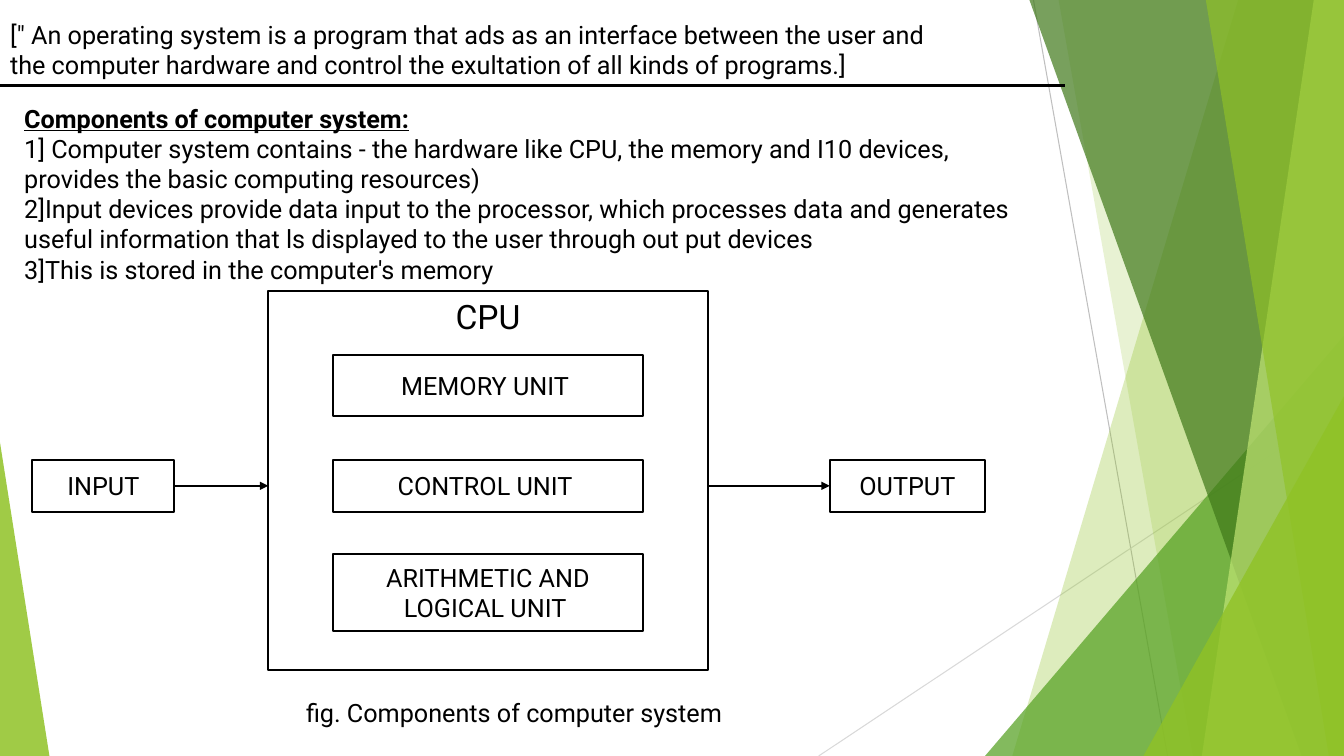
from lxml.etree import SubElement
from pptx import Presentation
from pptx.dml.color import RGBColor
from pptx.enum.shapes import MSO_CONNECTOR as Connector, MSO_SHAPE as Shape
from pptx.enum.text import MSO_ANCHOR as Anchor, MSO_AUTO_SIZE as AutoSize, PP_ALIGN as Align
from pptx.oxml.ns import qn
from pptx.util import Inches, Pt

WIDTH, HEIGHT = 13.33, 7.5
BLACK, WHITE, LIME = "000000", "FFFFFF", "90C226"

# Content
DEFINITION = ['[" An operating system is a program that ads as an interface between the user and '
              'the computer hardware and control the exultation of all kinds of programs.]']
COMPONENTS = [
    "Components of computer system:",
    "1] Computer system contains - the hardware like CPU, the memory and I10 devices, "
    "provides the basic computing resources)",
    "2]Input devices provide data input to the processor, which processes data and generates "
    "useful information that ls displayed to the user through out put devices",
    "3]This is stored in the computer's memory",
]
CAPTION = ["fig. Components of computer system"]
UNITS = [  # text, top, height
    ("MEMORY UNIT ", 3.52, 0.61),
    ("CONTROL UNIT ", 4.56, 0.52),
    ("ARITHMETIC AND LOGICAL UNIT ", 5.5, 0.76),
]
DEVICES = [("INPUT", 0.32, 1.41), ("OUTPUT", 8.23, 1.54)]  # text, left, width
CPU_LEFT, CPU_WIDTH = 2.66, 4.36
UNIT_WIDTH = 3.08
DEVICE_TOP, DEVICE_HEIGHT = 4.56, 0.52

# Decoration: thin lines, then facets with colour, opacity in percent and corners
RAYS = [((10.25, 0), (11.58, HEIGHT), "BFBFBF"), ((WIDTH, 4.03), (8.12, HEIGHT), "D9D9D9")]


def band(top_left, bottom_left):
    """Corners of a facet that fills the page from a slanted edge to the right side."""
    return [(top_left, 0), (WIDTH, 0), (WIDTH, HEIGHT), (bottom_left, HEIGHT)]


def corner(side, top, bottom):
    """Corners of a triangle that stands on the bottom edge against one side."""
    return [(side, top), (side, HEIGHT), (bottom, HEIGHT)]


FACETS = [
    (LIME, 30, band(12.28, 10.04)),
    (LIME, 20, band(10.5, 11.83)),
    ("54A021", 72, corner(WIDTH, 3.33, 9.77)),
    ("3F7819", 70, band(10.21, 12.91)),
    ("C0E474", 70, band(13.03, 11.92)),
    (LIME, 65, band(11.96, 13.18)),
    (LIME, 80, corner(WIDTH, 3.93, 11.34)),
    (LIME, 85, corner(0, 4.39, 0.49)),
]


def colour(value):
    return RGBColor.from_string(value)


def place(box, left, top, width, height):
    box.left, box.top, box.width, box.height = map(Inches, (left, top, width, height))


def add_facet(page, fill, opacity, corners):
    points = [(Inches(x), Inches(y)) for x, y in corners]
    builder = page.shapes.build_freeform(*points[0])
    builder.add_line_segments(points[1:], close=True)
    facet = builder.convert_to_shape()
    facet.shadow.inherit = False
    facet.fill.solid()
    facet.fill.fore_color.rgb = colour(fill)
    facet.line.fill.background()
    shade = facet._element.spPr.find(".//" + qn("a:srgbClr"))
    SubElement(shade, qn("a:alpha"), val=str(opacity * 1000))


def add_line(page, start, end, ink, weight, arrow=False):
    line = page.shapes.add_connector(Connector.STRAIGHT, *map(Inches, start + end))
    line.line.color.rgb = colour(ink)
    line.line.width = Pt(weight)
    if arrow:
        SubElement(line.line._ln, qn("a:tailEnd"), type="triangle")
    SubElement(line._element.spPr, qn("a:effectLst"))


def write(box, lines, size=18, align=Align.LEFT, anchor=Anchor.TOP, grow=False):
    frame = box.text_frame
    frame.word_wrap = True
    frame.vertical_anchor = anchor
    frame.auto_size = AutoSize.SHAPE_TO_FIT_TEXT if grow else AutoSize.NONE
    for index, text in enumerate(lines):
        para = frame.add_paragraph() if index else frame.paragraphs[0]
        settings = para._p.get_or_add_pPr()
        settings.set("marL", "0")
        settings.set("indent", "0")
        SubElement(settings, qn("a:buNone"))
        para.alignment, para.space_before, para.line_spacing = align, Pt(0), 1.0
        span = para.add_run()
        span.text = text
        heading = len(lines) > 1 and index == 0
        formats = {"name": "Roboto", "size": Pt(size), "bold": heading, "underline": heading}
        for name, value in formats.items():
            setattr(span.font, name, value)
        span.font.color.rgb = colour(BLACK)


def add_box(page, text, left, top, width, height, size=18, anchor=Anchor.MIDDLE):
    box = page.shapes.add_shape(Shape.RECTANGLE, *map(Inches, (left, top, width, height)))
    box.shadow.inherit = False
    box.fill.solid()
    box.fill.fore_color.rgb = colour(WHITE)
    box.line.color.rgb = colour(BLACK)
    box.line.width = Pt(1.5)
    write(box, [text], size, Align.CENTER, anchor)


def main():
    deck = Presentation()
    deck.slide_width, deck.slide_height = Inches(WIDTH), Inches(HEIGHT)
    page = deck.slides.add_slide(deck.slide_layouts[1])
    title, body = page.placeholders

    # Background
    for start, end, ink in RAYS:
        add_line(page, start, end, ink, 0.75)
    for facet in FACETS:
        add_facet(page, *facet)

    # Definition and list, in front of the background
    for box, lines, area in [(title, DEFINITION, (0, 0.14, 9.66, 0.71)),
                             (body, COMPONENTS, (0.14, 0.97, 10.3, 1.92))]:
        page.shapes._spTree.append(box._element)
        place(box, *area)
        write(box, lines, grow=True)
    add_line(page, (0, 0.85), (10.56, 0.85), BLACK, 2.25)

    # Processor and its units
    add_box(page, "CPU", CPU_LEFT, 2.89, CPU_WIDTH, 3.76, 24, Anchor.TOP)
    unit_left = CPU_LEFT + (CPU_WIDTH - UNIT_WIDTH) / 2
    for text, top, height in UNITS:
        add_box(page, text, unit_left, top, UNIT_WIDTH, height)

    # Devices and the arrows between them and the processor
    for text, left, width in DEVICES:
        add_box(page, text, left, DEVICE_TOP, width, DEVICE_HEIGHT)
    middle = DEVICE_TOP + DEVICE_HEIGHT / 2
    (_, input_left, input_width), (_, output_left, _) = DEVICES
    for start, end in [(input_left + input_width, CPU_LEFT), (CPU_LEFT + CPU_WIDTH, output_left)]:
        add_line(page, (start, middle), (end, middle), BLACK, 1, arrow=True)

    # Caption
    caption = page.shapes.add_textbox(*map(Inches, (2.57, 6.87, 5.06, 0.4)))
    write(caption, CAPTION, align=Align.CENTER, grow=True)

    deck.save("out.pptx")


if __name__ == "__main__":
    main()
